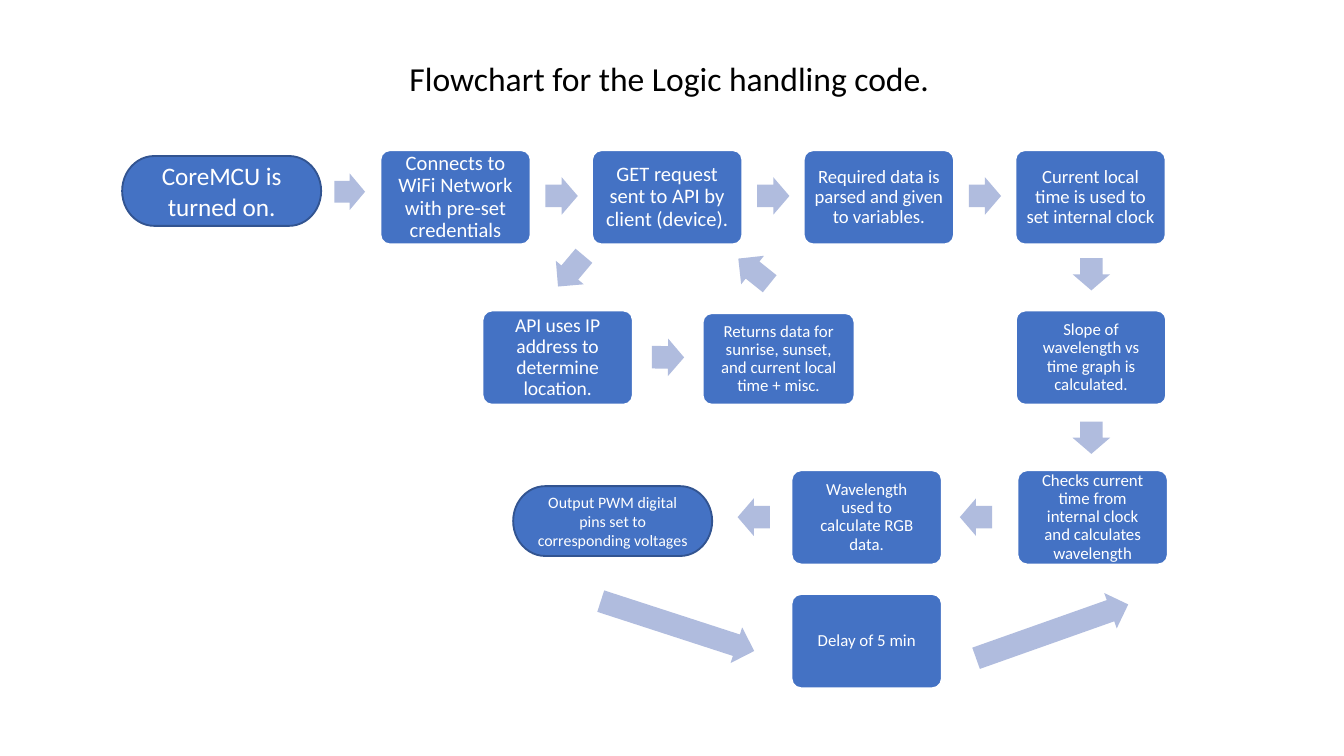
from pptx import Presentation
from pptx.dml.color import RGBColor
from pptx.enum.shapes import MSO_SHAPE
from pptx.enum.text import MSO_ANCHOR, PP_ALIGN
from pptx.util import Cm, Pt

COLORS = {"blue": "4472C4", "edge": "325491", "arrow": "B0BCDE", "white": "FFFFFF", "black": "000000"}


class Flowchart:
    font = "Calibri"
    step_size = (2.84, 1.78)
    end_size = (3.76, 1.32)
    arrow_size = (0.61, 0.71)

    def __init__(self, page):
        self.page = page

    def color(self, name):
        return RGBColor.from_string(COLORS[name])

    def shape(self, kind, place, size, fill, line=None, adjustments=()):
        box = self.page.shapes.add_shape(kind, *map(Cm, (*place, *size)))
        box.shadow.inherit = False
        box.fill.solid()
        box.fill.fore_color.rgb = self.color(fill)
        if line:
            box.line.color.rgb = self.color(line)
            box.line.width = Pt(1)
        else:
            box.line.fill.background()
        for index, value in enumerate(adjustments):
            box.adjustments[index] = value
        return box

    def label(self, box, text, size, color="white", align=PP_ALIGN.CENTER, spacing=1.0, **frame_format):
        frame = box.text_frame
        for name, value in {"word_wrap": True, **frame_format}.items():
            setattr(frame, name, value)
        para = frame.paragraphs[0]
        para.alignment = align
        para.line_spacing = spacing
        span = para.add_run()
        span.text = text
        for name, value in {"name": self.font, "size": Pt(size)}.items():
            setattr(span.font, name, value)
        span.font.color.rgb = self.color(color)

    def title(self, text, place, size):
        box = self.page.shapes.add_textbox(*map(Cm, (*place, *size)))
        self.label(box, text, 18, "black", PP_ALIGN.LEFT)

    def step(self, text, place, size, inset=0.3, extent=step_size):
        box = self.shape(MSO_SHAPE.ROUNDED_RECTANGLE, place, extent, "blue", "white", [0.1])
        sides = ("left", "top", "right", "bottom")
        margins = {f"margin_{side}": Cm(inset) for side in sides}
        self.label(box, text, size, spacing=0.9, vertical_anchor=MSO_ANCHOR.MIDDLE, **margins)

    def terminator(self, text, place, size):
        box = self.shape(MSO_SHAPE.FLOWCHART_TERMINATOR, place, self.end_size, "blue", "edge")
        self.label(box, text, size, vertical_anchor=MSO_ANCHOR.MIDDLE)

    def arrow(self, place, rotation=0, size=arrow_size):
        box = self.shape(MSO_SHAPE.RIGHT_ARROW, place, size, "arrow", adjustments=[0.6, 0.5])
        box.rotation = rotation


deck = Presentation()
deck.slide_width, deck.slide_height = Cm(25.4), Cm(14.29)
chart = Flowchart(deck.slides.add_slide(deck.slide_layouts[6]))

chart.title("Flowchart for the Logic handling code.", (7.49, 0.97), (10.52, 1.02))

chart.terminator("CoreMCU is turned on.", (2.31, 2.95), 13.5)
chart.arrow((6.32, 3.28), size=(0.58, 0.69))

ROW_TOPS = (2.84, 5.87, 8.89, 11.23)
ROW_LEFT, ROW_PITCH = 7.19, 4
setup_steps = [
    ("Connects to WiFi Network with pre-set credentials", 11, 0.13),
    ("GET request sent to API by client (device).", 11, 0.13),
    ("Required data is parsed and given to variables.", 10, 0.1),
    ("Current local time is used to set internal clock", 10, 0.1),
]
for column, (text, size, inset) in enumerate(setup_steps):
    left = ROW_LEFT + column * ROW_PITCH
    if column:
        chart.arrow((left - 0.88, 3.35))
    chart.step(text, (left, ROW_TOPS[0]), size, inset)

lower_steps = [
    ("API uses IP address to determine location.", 9.12, 1, 10.5),
    ("Slope of wavelength vs time graph is calculated.", 19.2, 1, 9),
    ("Checks current time from internal clock and calculates wavelength", 19.23, 2, 9),
    ("Wavelength used to calculate RGB data.", 14.96, 2, 9),
    ("Delay of 5 min", 14.96, 3, 9),
]
for text, left, row, size in lower_steps:
    chart.step(text, (left, ROW_TOPS[row]), size)

chart.step("Returns data for sunrise, sunset, and current local time + misc.",
           (13.28, 5.92), 9, 0.28, (2.87, 1.73))
chart.terminator("Output PWM digital pins set to corresponding voltages", (9.7, 9.19), 8.5)

for left, top, rotation in [(12.32, 6.4, 0.4), (20.32, 4.83, 90), (20.32, 7.92, 90),
                            (18.14, 9.42, 180), (13.94, 9.42, 180)]:
    chart.arrow((left, top), rotation)
for left, rotation in [(10.41, 130.1), (13.87, 218.7)]:
    chart.arrow((left, 4.78), rotation, (0.76, 0.69))
for left, top, rotation in [(11.28, 11.48, 18), (18.36, 11.58, 340.5)]:
    chart.arrow((left, top), rotation, (3.05, 0.71))

deck.save("out.pptx")
